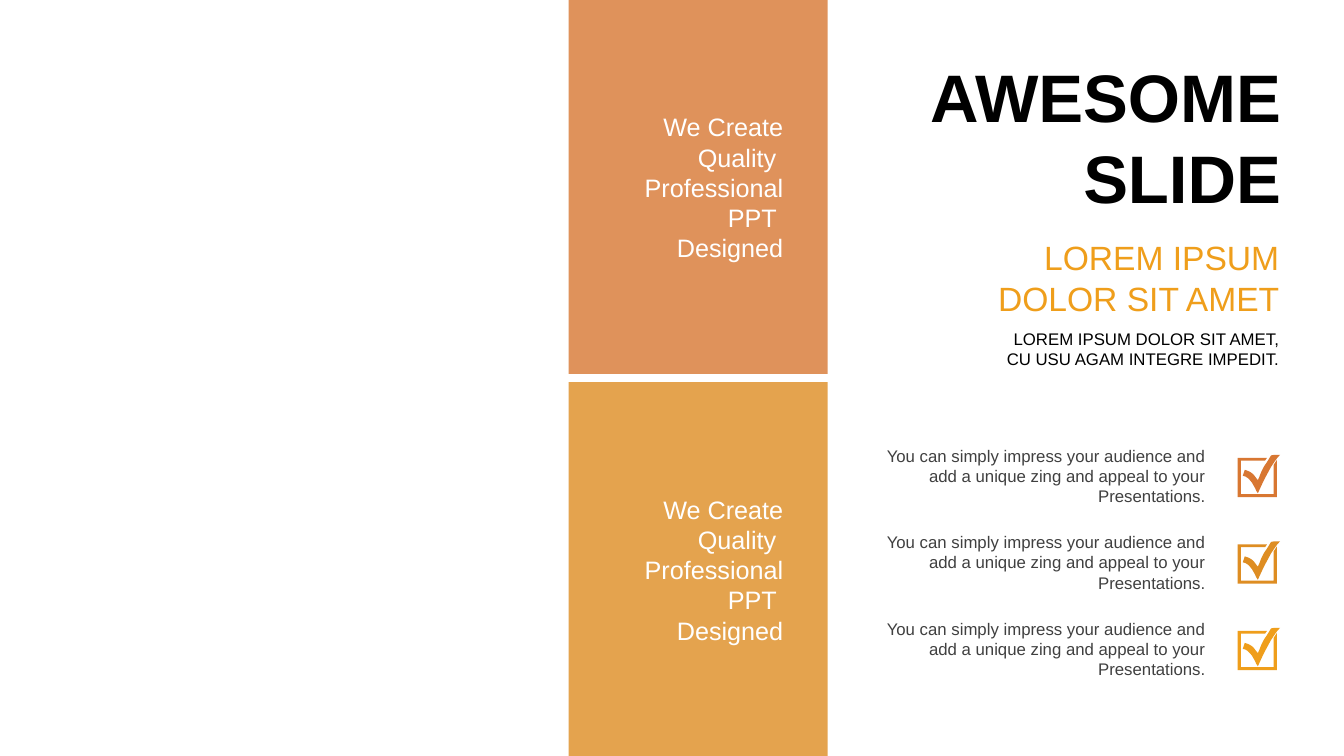
from pptx import Presentation
from pptx.dml.color import RGBColor
from pptx.enum.shapes import MSO_SHAPE
from pptx.enum.text import MSO_ANCHOR, PP_ALIGN
from pptx.oxml.ns import qn
from pptx.oxml.xmlchemy import OxmlElement
from pptx.util import Cm, Pt

RUST = RGBColor(0xD8, 0x77, 0x32)
AMBER = RGBColor(0xDE, 0x8D, 0x22)
GOLD = RGBColor(0xEF, 0x9E, 0x1B)
BLACK = RGBColor(0, 0, 0)
GREY = RGBColor(0x40, 0x40, 0x40)
WHITE = RGBColor(255, 255, 255)

PANEL = ["We Create Quality ", "Professional PPT ", "Designed"]
POINT = ["You can simply impress your audience and add a unique zing "
         "and appeal to your Presentations."]

# Check icon, in hundredths of a centimetre
FRAME = [(74, 8), (69, 15), (8, 15), (8, 99), (91, 99), (91, 25),
         (99, 13), (99, 107), (0, 107)]
START = (107, 0)
TICK = [[(86, 20), (66, 64), (51, 97)],
        [(41, 81), (33, 56), (13, 53)],
        [(18, 38)],
        [(36, 43), (41, 51), (51, 64)],
        [(61, 38), (66, 30), (84, 2)],
        [(91, 0), (97, 0), (107, 0)]]


def write(box, lines, size, color, anchor=MSO_ANCHOR.MIDDLE, bold=False):
    """Fill a box with right-aligned paragraphs."""
    frame = box.text_frame
    frame.word_wrap = True
    frame.vertical_anchor = anchor
    frame.text = "\n".join(lines)
    style = {"name": "Arial", "size": Pt(size), "bold": bold}
    for para in frame.paragraphs:
        para.alignment = PP_ALIGN.RIGHT
        para.font.color.rgb = color
        for key, value in style.items():
            setattr(para.font, key, value)
    return frame


def paint(shape, color):
    shape.shadow.inherit = False
    shape.fill.solid()
    shape.fill.fore_color.rgb = color
    shape.line.fill.background()


deck = Presentation()
deck.slide_width, deck.slide_height = Cm(33.87), Cm(19.05)
slide = deck.slides.add_slide(deck.slide_layouts[5])
shapes = slide.shapes

# Colour panels
for row, color in enumerate([RUST, AMBER]):
    top = 9.63 * row
    panel = shapes.add_shape(MSO_SHAPE.RECTANGLE, Cm(14.33), Cm(top),
                             Cm(6.53), Cm(9.42))
    paint(panel, color)
    alpha = OxmlElement("a:alpha")
    alpha.set("val", "80000")
    panel.element.spPr.find(".//" + qn("a:srgbClr")).append(alpha)

    box = shapes.add_textbox(Cm(15.37), Cm(top + 2.8), Cm(4.47), Cm(3.84))
    frame = write(box, PANEL, 18, WHITE)
    frame.margin_left = frame.margin_right = Cm(0.1)
    frame.margin_top = frame.margin_bottom = 0

# Headings
title = shapes.title
title.left, title.top = Cm(22.38), Cm(1.24)
title.width, title.height = Cm(10.16), Cm(4.37)
write(title, ["AWESOME", "SLIDE"], 48, BLACK, bold=True)

heads = [
    (5.84, 2.31, ["LOREM IPSUM", "DOLOR SIT AMET"], 24, GOLD),
    (8.15, 1.27, ["LOREM IPSUM DOLOR SIT AMET,",
                  "CU USU AGAM INTEGRE IMPEDIT."], 12, BLACK),
]
for top, height, lines, size, color in heads:
    box = shapes.add_textbox(Cm(24.54), Cm(top), Cm(7.95), Cm(height))
    write(box, lines, size, color)

# Tick outline: each curve becomes eight short lines
tick = [START]
for part in TICK:
    if len(part) == 1:
        tick += part
        continue
    curve = [tick[-1], *part]
    for step in range(1, 9):
        t = step / 8
        mix = [(1 - t) ** 3, 3 * t * (1 - t) ** 2, 3 * t * t * (1 - t), t ** 3]
        tick.append(tuple(sum(m * p[axis] for m, p in zip(mix, curve))
                          for axis in (0, 1)))

# Checklist
for row, color in enumerate([RUST, AMBER, GOLD]):
    drop = 2.18 * row
    box = shapes.add_textbox(Cm(22.02), Cm(11.1 + drop), Cm(8.61), Cm(1.8))
    write(box, POINT, 12, GREY, MSO_ANCHOR.TOP)

    pen = shapes.build_freeform(0, 8, scale=Cm(0.01))
    pen.add_line_segments(FRAME)
    pen.move_to(*START)
    pen.add_line_segments(tick[1:])
    paint(pen.convert_to_shape(Cm(31.19), Cm(11.46 + drop)), color)

deck.save("out.pptx")
